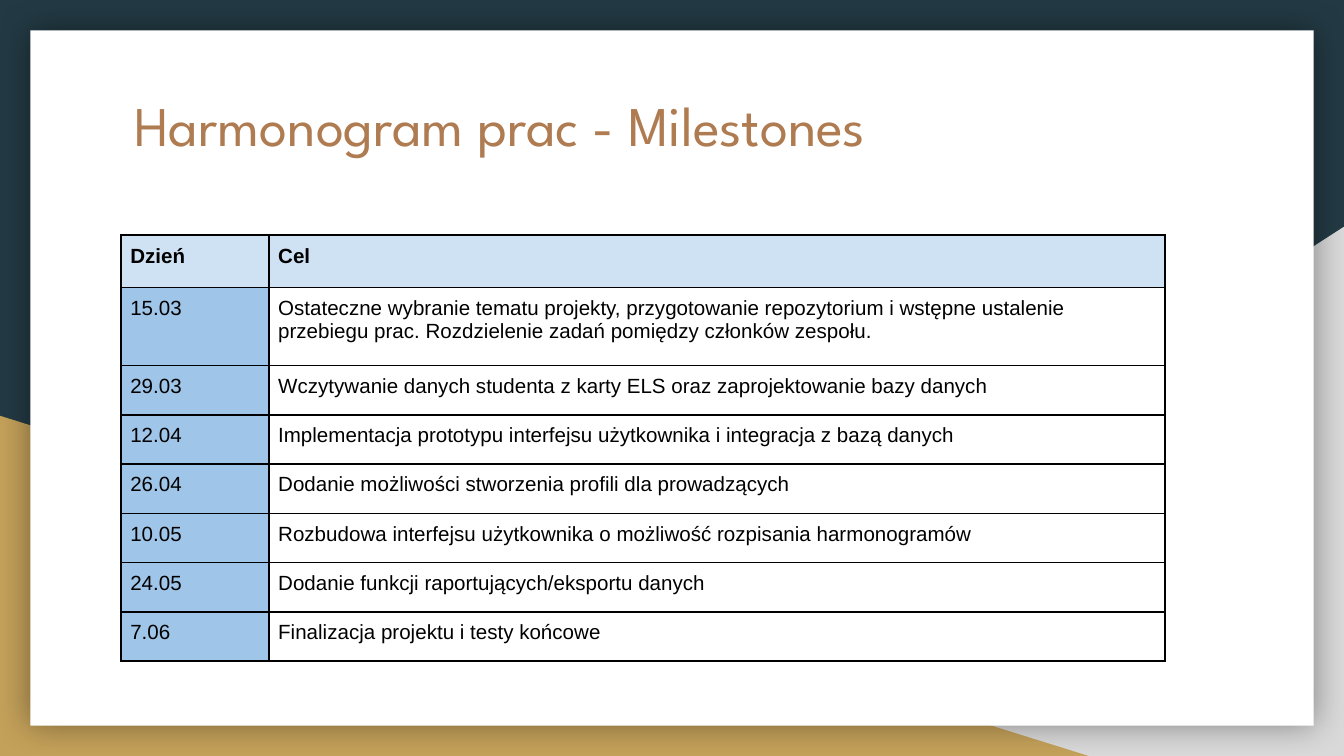
from dataclasses import dataclass

from lxml import etree
from pptx import Presentation
from pptx.dml.color import RGBColor
from pptx.enum import shapes, text
from pptx.oxml import parse_xml
from pptx.oxml.ns import qn
from pptx.util import Inches, Pt

DRAWING_NS = 'xmlns:a="http://schemas.openxmlformats.org/drawingml/2006/main"'
WIDTH = 10
HEIGHT = WIDTH * 9 / 16


@dataclass(frozen=True)
class Theme:
    backdrop: str = "233A44"
    grey: str = "D9D9D9"
    gold: str = "C4A15A"
    card: str = "FFFFFF"
    title: str = "AF7B51"
    ink: str = "000000"
    header: str = "CFE2F3"
    day: str = "9FC5E8"
    title_font: str = "League Spartan"
    body_font: str = "Arial"
    title_size: int = 30
    body_size: int = 11
    border: int = 1


THEME = Theme()

MILESTONES = [
    ("Dzień", "Cel"),
    ("15.03", "Ostateczne wybranie tematu projekty, przygotowanie repozytorium i wstępne "
              "ustalenie przebiegu prac. Rozdzielenie zadań pomiędzy członków zespołu."),
    ("29.03", "Wczytywanie danych studenta z karty ELS oraz zaprojektowanie bazy danych"),
    ("12.04", "Implementacja prototypu interfejsu użytkownika i integracja z bazą danych"),
    ("26.04", "Dodanie możliwości stworzenia profili dla prowadzących"),
    ("10.05", "Rozbudowa interfejsu użytkownika o możliwość rozpisania harmonogramów"),
    ("24.05", "Dodanie funkcji raportujących/eksportu danych"),
    ("7.06", "Finalizacja projektu i testy końcowe"),
]


def paint(fill, color):
    fill.solid()
    fill.fore_color.rgb = RGBColor.from_string(color)


def style_text(frame, font, size, color, bold=False):
    for para in frame.paragraphs:
        for span in para.runs:
            span.font.name = font
            span.font.size = Pt(size)
            span.font.bold = bold
            span.font.color.rgb = RGBColor.from_string(color)


def add_panel(page, kind, box, color):
    panel = page.shapes.add_shape(kind, *map(Inches, box))
    panel.shadow.inherit = False
    panel.line.fill.background()
    paint(panel.fill, color)
    return panel


def add_background(page, box):
    left, top, width, height = box
    right, bottom = left + width, top + height
    paint(page.background.fill, THEME.backdrop)

    # Corner triangles rising from the bottom edge
    triangle = shapes.MSO_SHAPE.RIGHT_TRIANGLE
    grey_width, grey_height = 0.61 * width, 0.7 * height
    grey = add_panel(page, triangle,
                     (right - grey_width, bottom - grey_height, grey_width, grey_height),
                     THEME.grey)
    grey._element.spPr.find(qn("a:xfrm")).set("flipH", "1")
    gold_height = 0.45 * height
    add_panel(page, triangle, (left, bottom - gold_height, 0.81 * width, gold_height),
              THEME.gold)

    # White card with a soft shadow all round
    margin = 0.04 * height
    card = add_panel(page, shapes.MSO_SHAPE.RECTANGLE,
                     (left + margin, top + margin, width - 2 * margin, height - 2 * margin),
                     THEME.card)
    effects = card._element.spPr.find(qn("a:effectLst"))
    effects.append(parse_xml(
        f'<a:outerShdw {DRAWING_NS} blurRad="{Pt(18)}" dist="0" dir="0" algn="ctr" '
        f'rotWithShape="0"><a:srgbClr val="{THEME.ink}"><a:alpha val="40000"/></a:srgbClr>'
        '</a:outerShdw>'))


def add_title(page, box, words):
    title = page.shapes.title
    title.left, title.top, title.width, title.height = map(Inches, box)
    frame = title.text_frame
    frame.text = words
    frame.word_wrap = True
    frame.auto_size = text.MSO_AUTO_SIZE.NONE
    frame.vertical_anchor = text.MSO_ANCHOR.TOP
    frame.margin_left = frame.margin_right = Inches(0.1)
    frame.margin_top = frame.margin_bottom = Inches(0.1)
    frame.paragraphs[0].alignment = text.PP_ALIGN.LEFT
    style_text(frame, THEME.title_font, THEME.title_size, THEME.title)
    page.shapes._spTree.append(title._element)  # in front of the card


def add_borders(cell):
    properties = cell._tc.get_or_add_tcPr()
    for index, side in enumerate(("lnL", "lnR", "lnT", "lnB")):
        line = etree.fromstring(
            f'<a:{side} {DRAWING_NS} w="{Pt(THEME.border)}"><a:solidFill>'
            f'<a:srgbClr val="{THEME.ink}"/></a:solidFill></a:{side}>')
        properties.insert(index, line)


def format_cell(cell, words, fill, bold):
    cell.text = words
    cell.margin_left = cell.margin_right = Inches(0.07)
    cell.margin_top = cell.margin_bottom = Inches(0.07)
    cell.vertical_anchor = text.MSO_ANCHOR.TOP
    if fill:
        paint(cell.fill, fill)
    else:
        cell.fill.background()
    style_text(cell.text_frame, THEME.body_font, THEME.body_size, THEME.ink, bold)
    add_borders(cell)


def add_schedule(page, box, entries):
    width, height = box[2:]
    table = page.shapes.add_table(len(entries), 2, *map(Inches, box)).table

    # Narrow day column; header and two-line row are taller than the rest
    day_width = 1.1
    table.columns[0].width = Inches(day_width)
    table.columns[1].width = Inches(width - day_width)
    tall_rows = [0.39, 0.58]
    plain_count = len(entries) - len(tall_rows)
    plain_height = (height - sum(tall_rows)) / plain_count
    for row, row_height in zip(table.rows, tall_rows + [plain_height] * plain_count):
        row.height = Inches(row_height)

    for index, (day, goal) in enumerate(entries):
        is_header = index == 0
        fills = (THEME.header, THEME.header) if is_header else (THEME.day, None)
        for column, words in enumerate((day, goal)):
            format_cell(table.cell(index, column), words, fills[column], is_header)


def main():
    deck = Presentation()
    deck.slide_width, deck.slide_height = Inches(WIDTH), Inches(HEIGHT)
    page = deck.slides.add_slide(deck.slide_layouts.get_by_name("Title Only"))
    left = 0.09 * WIDTH
    add_background(page, (0, 0, WIDTH, HEIGHT))
    add_title(page, (left, 0.57, 8.21, 1.04), "Harmonogram prac - Milestones")
    add_schedule(page, (left, 1.75, 7.77, 3.17), MILESTONES)
    deck.save("out.pptx")


if __name__ == "__main__":
    main()
